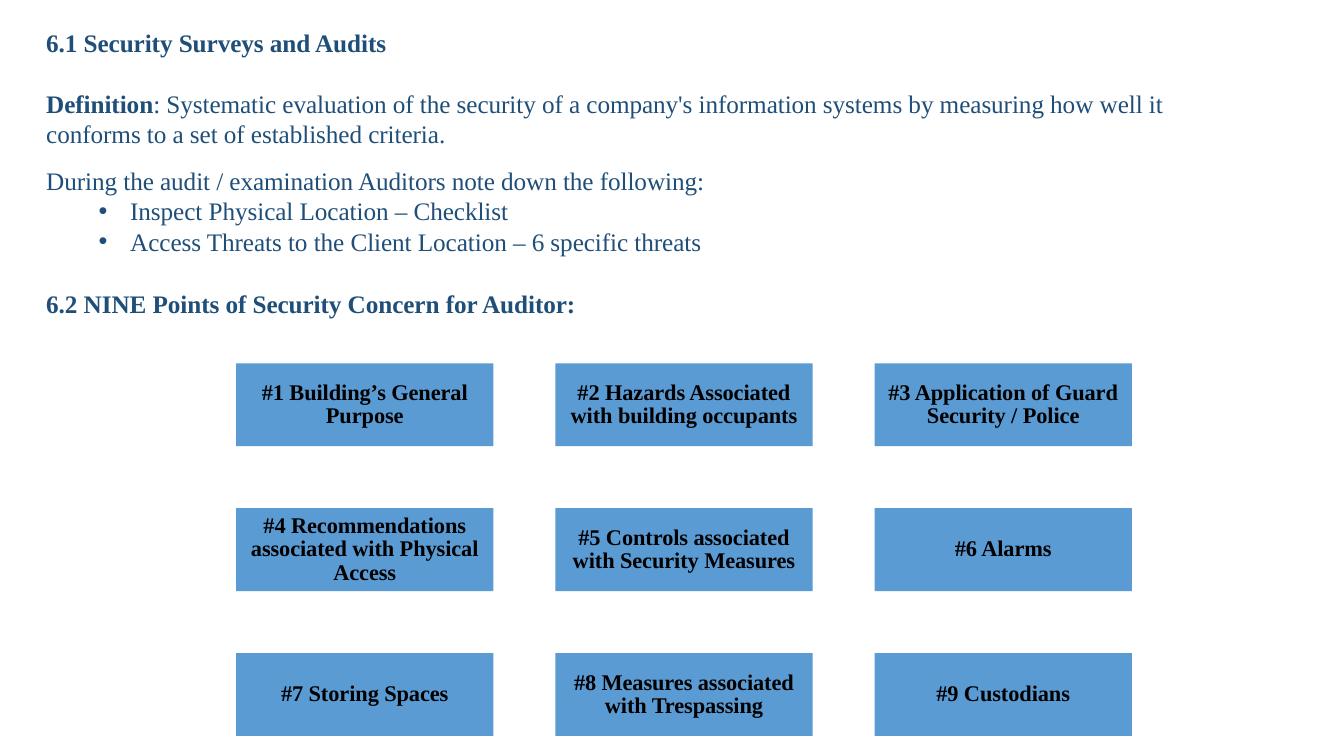
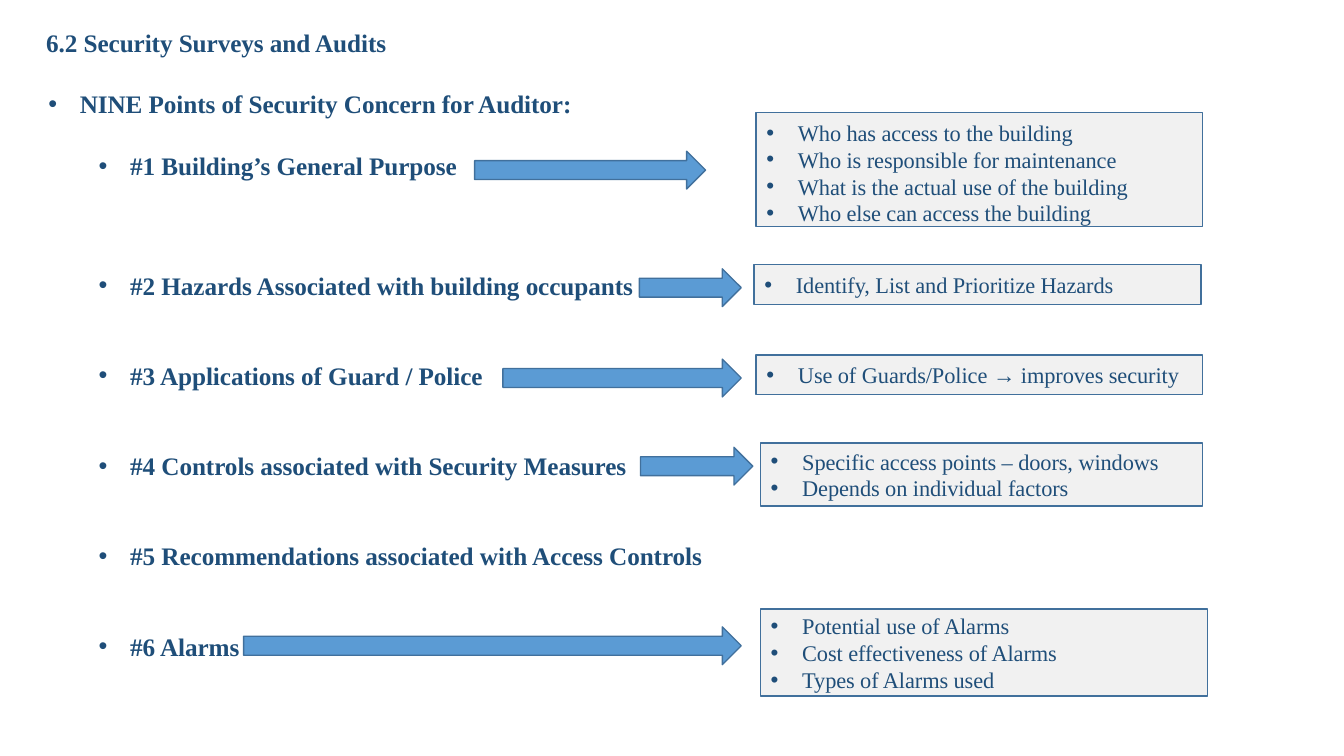
from dataclasses import dataclass

from lxml import etree
from pptx import Presentation
from pptx.dml.color import RGBColor
from pptx.enum.shapes import MSO_SHAPE as SHAPE
from pptx.enum.text import MSO_ANCHOR as ANCHOR, PP_ALIGN as ALIGN
from pptx.oxml.ns import qn
from pptx.util import Pt

PX = 9525  # EMU per px, 96 px to the inch
FONT = "Times New Roman"
BULLET_FONT = "Arial"
NAVY, BLACK = "1F4E79", "000000"
BLUE, GREY, OUTLINE = "5B9BD4", "F1F1F1", "41709C"
HANG = 30
MARGIN, POINT_LEFT = 44, 92
BLANK_LINE = 23

CONCERNS = [
    "#1 Building’s General Purpose",
    "#2 Hazards Associated with building occupants",
    "#3 Application of Guard Security / Police",
    "#4 Recommendations associated with Physical Access",
    "#5 Controls associated with Security Measures",
    "#6 Alarms",
    "#7 Storing Spaces",
    "#8 Measures associated with Trespassing",
    "#9 Custodians",
]

# Text and width of the points below the first one
POINTS = [
    ("#2 Hazards Associated with building occupants", 520),
    ("#3 Applications of Guard / Police", 380),
    ("#4 Controls associated with Security Measures", 515),
    ("#5 Recommendations associated with Access Controls", 590),
    ("#6 Alarms", 140),
]

# Left, top, width
ARROWS = [
    (452, 144, 220),
    (609, 256, 97),
    (479, 342, 227),
    (610, 426, 107),
    (232, 597, 474),
]

# Left, top, width, height, top inset, lines
DETAILS = [
    (720, 107, 425, 109, 6, [
        "Who has access to the building",
        "Who is responsible for maintenance",
        "What is the actual use of the building",
        "Who else can access the building",
    ]),
    (718, 252, 426, 38, 0, ["Identify, List and Prioritize Hazards"]),
    (720, 338, 425, 38, 0, ["Use of Guards/Police → improves security"]),
    (724, 422, 421, 60, 0, [
        "Specific access points – doors, windows",
        "Depends on individual factors",
    ]),
    (724, 580, 426, 83, 0, [
        "Potential use of Alarms",
        "Cost effectiveness of Alarms",
        "Types of Alarms used",
    ]),
]


@dataclass
class Para:
    """A paragraph; lead is a bold opening, indent (px) turns on a bullet."""
    text: str
    bold: bool = False
    lead: str = ""
    indent: int = 0
    before: float = 0


def rgb(color):
    return RGBColor.from_string(color)


def place(left, top, width, height):
    return [n * PX for n in (left, top, width, height)]


def add_run(p, text, size, color, bold, font=FONT):
    r = p.add_run()
    r.text = text
    r.font.name = font
    r.font.size = Pt(size)
    r.font.bold = bold
    r.font.color.rgb = rgb(color)
    r.font._element.set("spc", "-5")


def add_bullet(p, indent):
    pPr = p._p.get_or_add_pPr()
    pPr.set("marL", str(indent * PX))
    pPr.set("indent", str(-HANG * PX))
    etree.SubElement(pPr, qn("a:buFont")).set("typeface", BULLET_FONT)
    etree.SubElement(pPr, qn("a:buChar")).set("char", "•")


def set_frame(tf, anchor, top=0, side=0):
    tf.word_wrap = True
    tf.vertical_anchor = anchor
    tf.margin_left = tf.margin_right = side * PX
    tf.margin_top, tf.margin_bottom = top * PX, 0


def write(tf, paras, size, color=NAVY):
    for i, para in enumerate(paras):
        p = tf.paragraphs[0] if i == 0 else tf.add_paragraph()
        p.alignment = ALIGN.LEFT
        if para.indent:
            add_bullet(p, para.indent)
        if para.before:
            p.space_before = Pt(para.before)
        if para.lead:
            add_run(p, para.lead, size, color, True)
        before, arrow, after = para.text.partition("→")
        add_run(p, before, size, color, para.bold)
        if arrow:
            add_run(p, arrow, size, color, para.bold, BULLET_FONT)
            add_run(p, after, size, color, para.bold)


def add_text(slide, left, top, width, height, paras):
    tf = slide.shapes.add_textbox(*place(left, top, width, height)).text_frame
    set_frame(tf, ANCHOR.TOP, top=2)
    write(tf, paras, 18)


def add_title(slide, text):
    add_text(slide, MARGIN, 24, 328, 32, [Para(text, bold=True)])


def add_block(slide, kind, box, fill, line=None):
    sp = slide.shapes.add_shape(kind, *place(*box))
    sp.shadow.inherit = False
    sp.fill.solid()
    sp.fill.fore_color.rgb = rgb(fill)
    if line:
        sp.line.color.rgb = rgb(line)
        sp.line.width = Pt(0.96)
    else:
        sp.line.fill.background()
    return sp


def add_card(slide, left, top, width, height, text):
    tf = add_block(slide, SHAPE.RECTANGLE, (left, top, width, height), BLUE).text_frame
    set_frame(tf, ANCHOR.MIDDLE, side=8)
    write(tf, [Para(text, bold=True)], 16, BLACK)
    p = tf.paragraphs[0]
    p.alignment = ALIGN.CENTER
    p.line_spacing = Pt(16.6)


def add_detail(slide, left, top, width, height, inset, lines):
    box = (left, top, width, height)
    tf = add_block(slide, SHAPE.RECTANGLE, box, GREY, OUTLINE).text_frame
    set_frame(tf, ANCHOR.MIDDLE, top=inset)
    write(tf, [Para(line, indent=40) for line in lines], 16)


def build_overview(slide):
    add_title(slide, "6.1 Security Surveys and Audits")
    add_text(slide, MARGIN, 82, 1150, 222, [
        Para(": Systematic evaluation of the security of a company's information "
             "systems by measuring how well it conforms to a set of established "
             "criteria.", lead="Definition"),
        Para("During the audit / examination Auditors note down the following:",
             before=12),
        Para("Inspect Physical Location – Checklist", indent=80),
        Para("Access Threats to the Client Location – 6 specific threats", indent=80),
        Para("6.2 NINE Points of Security Concern for Auditor:", bold=True,
             before=BLANK_LINE),
    ])
    for i, text in enumerate(CONCERNS):
        row, col = divmod(i, 3)
        add_card(slide, 225 + 304 * col, 346 + 138 * row, 245, 79, text)


def build_points(slide):
    add_title(slide, "6.2 Security Surveys and Audits")
    add_text(slide, MARGIN, 82, 510, 90, [
        Para("NINE Points of Security Concern for Auditor:", bold=True, indent=32),
        Para("#1 Building’s General Purpose", bold=True, indent=80,
             before=BLANK_LINE),
    ])
    for i, (text, width) in enumerate(POINTS):
        add_text(slide, POINT_LEFT, 255 + 86 * i, width, 32,
                 [Para(text, bold=True, indent=32)])
    for detail in DETAILS:
        add_detail(slide, *detail)
    for arrow in ARROWS:
        add_block(slide, SHAPE.RIGHT_ARROW, (*arrow, 36), BLUE, OUTLINE)


def main():
    prs = Presentation()
    prs.slide_width, prs.slide_height = 1280 * PX, 720 * PX
    for build in (build_overview, build_points):
        build(prs.slides.add_slide(prs.slide_layouts[6]))
    prs.save("out.pptx")


if __name__ == "__main__":
    main()
